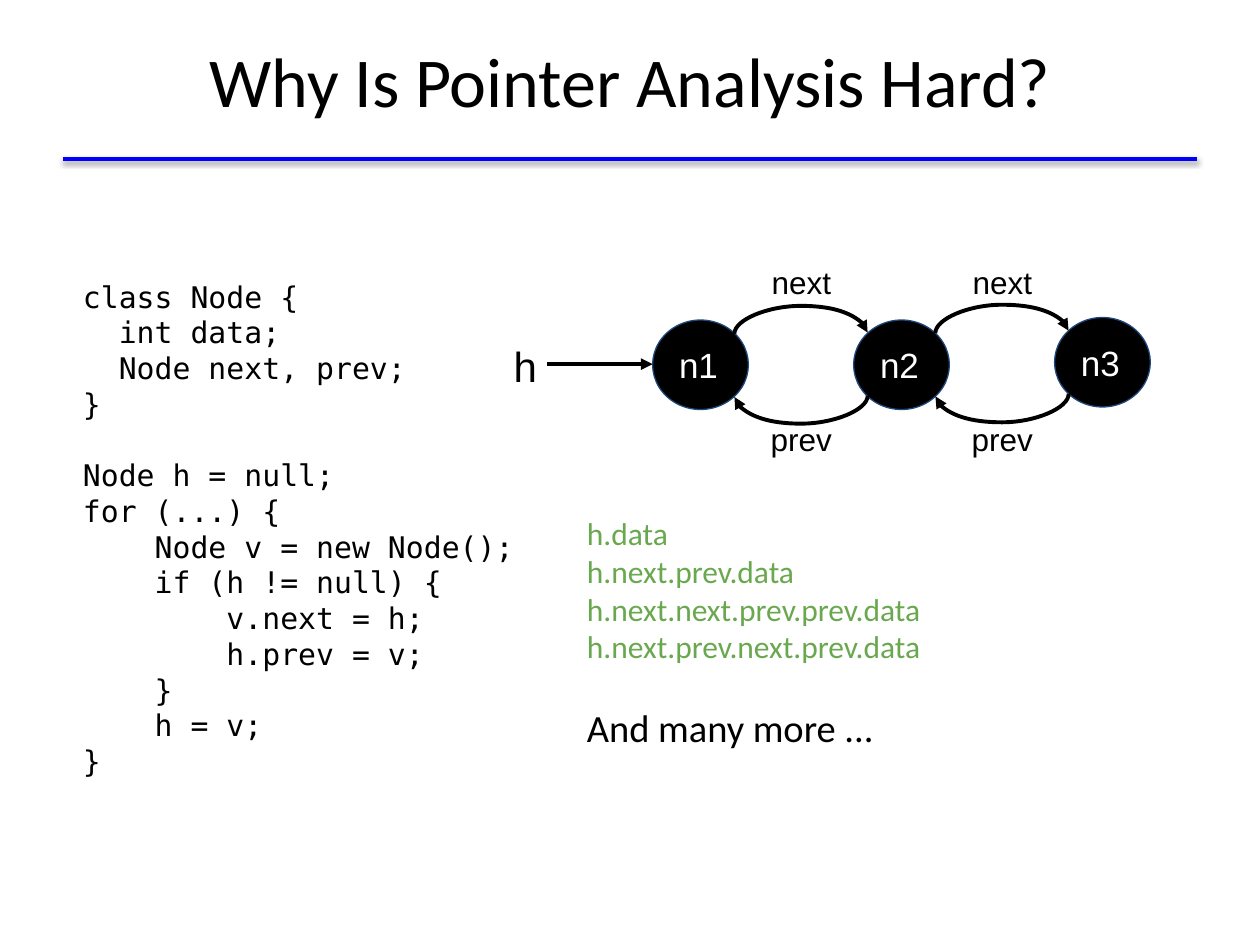
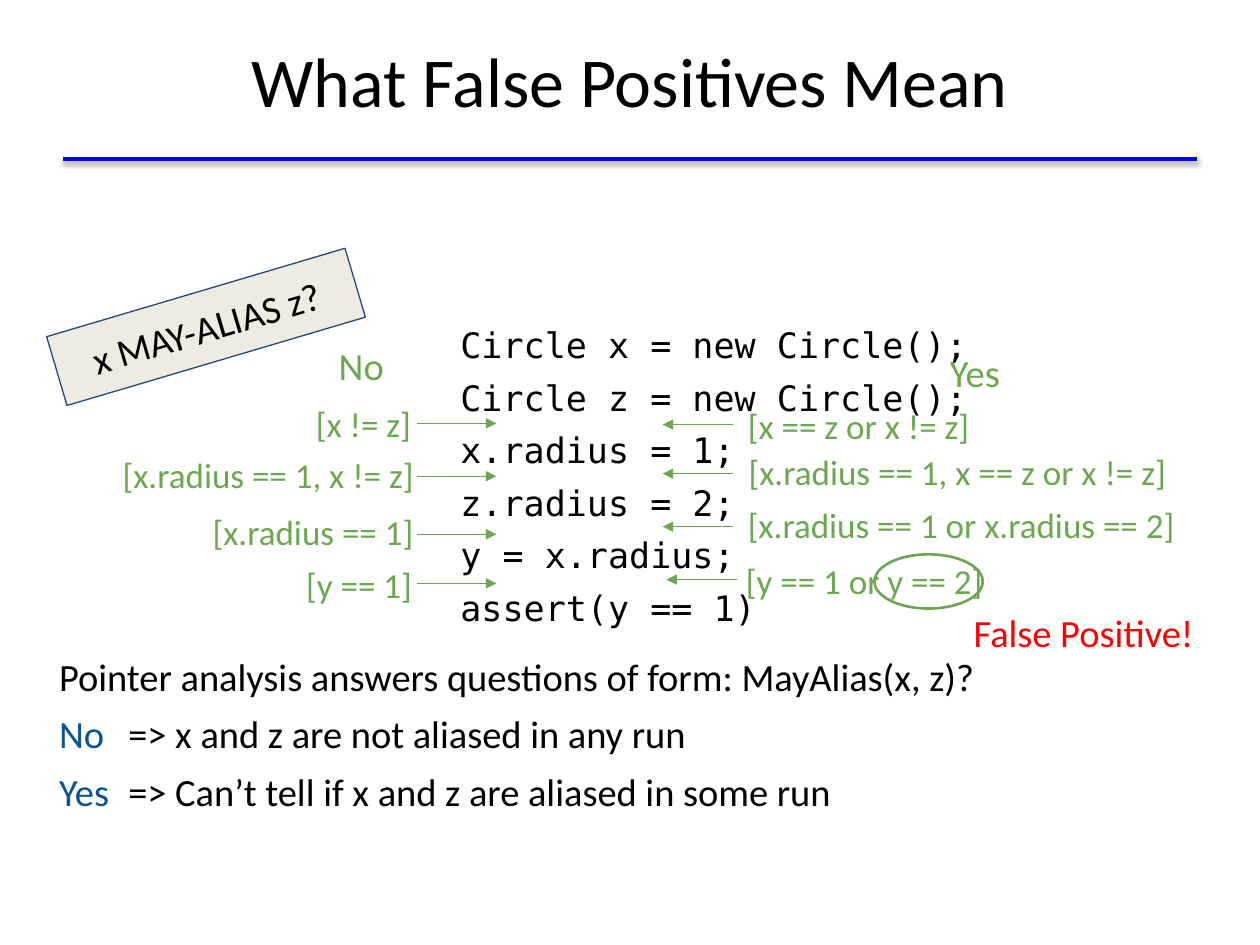
import dataclasses
import math
import typing

import lxml.etree
import pptx
import pptx.dml.color
import pptx.enum.shapes
import pptx.enum.text
import pptx.oxml.ns
import pptx.util

RGB = pptx.dml.color.RGBColor
BLACK = RGB(0x00, 0x00, 0x00)
WHITE = RGB(0xFF, 0xFF, 0xFF)
RULE_BLUE = RGB(0x00, 0x00, 0xFF)
OUTLINE_BLUE = RGB(0x1F, 0x49, 0x7D)
ANSWER_BLUE = RGB(0x0B, 0x53, 0x94)
GREEN = RGB(0x6A, 0xA8, 0x4F)
RED = RGB(0xFF, 0x00, 0x00)
CREAM = RGB(0xEE, 0xEC, 0xE1)

SANS, LABEL, MONO = "Calibri", "Arial", "DejaVu Sans Mono"
ALIGN = pptx.enum.text.PP_ALIGN
ANCHOR = pptx.enum.text.MSO_ANCHOR
SHAPE = pptx.enum.shapes.MSO_SHAPE
CONNECTOR = pptx.enum.shapes.MSO_CONNECTOR

# Grid of 100 columns by 75 rows
WIDTH, HEIGHT = pptx.util.Inches(10), pptx.util.Inches(7.5)
COLUMN, ROW = WIDTH / 100, HEIGHT / 75
INSET = pptx.util.Inches(0.1)


@dataclasses.dataclass(frozen=True)
class Box:
    """A place on the grid, in columns and rows."""
    left: float
    top: float
    width: float
    height: float

    def lengths(self) -> tuple[int, int, int, int]:
        return (round(self.left * COLUMN), round(self.top * ROW),
                round(self.width * COLUMN), round(self.height * ROW))

    def corner(self, right: bool, bottom: bool) -> tuple[float, float]:
        """Diagonal point of the ellipse that fills the box."""
        reach = math.sqrt(0.5) / 2
        return (self.left + self.width * (0.5 + (reach if right else -reach)),
                self.top + self.height * (0.5 + (reach if bottom else -reach)))


@dataclasses.dataclass(frozen=True)
class Fact:
    """What is known before a program line, with an arrow to that line."""
    text: str
    box: Box
    arrow_start: float
    arrow_end: float
    arrow_row: float


def add_xml(parent: typing.Any, tag: str, **attributes: typing.Any) -> typing.Any:
    return lxml.etree.SubElement(parent, pptx.oxml.ns.qn(tag),
                                 {key: str(value) for key, value in attributes.items()})


# Text
def write(frame: typing.Any, text: str, *, size: float, font: str = SANS,
          color: RGB = BLACK, align: ALIGN = ALIGN.LEFT, spacing: float = 1.0,
          before: float = 0, lead: str = "", tab: float = 0) -> None:
    """Add each line of text as a paragraph, after an optional coloured lead."""
    for number, line in enumerate(text.split("\n")):
        paragraph = frame.paragraphs[-1] if not frame.text else frame.add_paragraph()
        paragraph.alignment = align
        paragraph.line_spacing = spacing
        paragraph.space_before = pptx.util.Pt(0 if number else before)
        runs = [(line, color)]
        if lead:
            runs = [(lead + "\t", ANSWER_BLUE), (line, color)]
            tabs = add_xml(paragraph._p.get_or_add_pPr(), "a:tabLst")
            add_xml(tabs, "a:tab", pos=round(tab * COLUMN), algn="l")
        for words, run_color in runs:
            run = paragraph.add_run()
            run.text = words
            run.font.size = pptx.util.Pt(size)
            run.font.name = font
            run.font.color.rgb = run_color


def prepare_frame(shape: typing.Any, anchor: ANCHOR) -> typing.Any:
    frame = shape.text_frame
    frame.word_wrap = True
    frame.auto_size = pptx.enum.text.MSO_AUTO_SIZE.NONE
    frame.vertical_anchor = anchor
    frame.margin_left = frame.margin_right = INSET
    frame.margin_top = frame.margin_bottom = INSET
    return frame


def add_text(shapes: typing.Any, box: Box, text: str = "",
             anchor: ANCHOR = ANCHOR.MIDDLE, **text_format: typing.Any) -> typing.Any:
    frame = prepare_frame(shapes.add_textbox(*box.lengths()), anchor)
    if text:
        write(frame, text, **text_format)
    return frame


# Shapes and lines
def add_shape(shapes: typing.Any, kind: SHAPE, box: Box, line: RGB,
              line_width: float = 0.75, fill: RGB | None = None) -> typing.Any:
    shape = shapes.add_shape(kind, *box.lengths())
    shape.shadow.inherit = False
    if fill is None:
        shape.fill.background()
    else:
        shape.fill.solid()
        shape.fill.fore_color.rgb = fill
    shape.line.color.rgb = line
    shape.line.width = pptx.util.Pt(line_width)
    return shape


def add_line(shapes: typing.Any, start: tuple[float, float], end: tuple[float, float],
             color: RGB, width: float, kind: CONNECTOR = CONNECTOR.STRAIGHT,
             arrow: bool = True) -> typing.Any:
    connector = shapes.add_connector(
        kind, round(start[0] * COLUMN), round(start[1] * ROW),
        round(end[0] * COLUMN), round(end[1] * ROW))
    connector.line.color.rgb = color
    connector.line.width = pptx.util.Pt(width)
    if arrow:
        add_xml(connector.line._get_or_add_ln(), "a:tailEnd", type="triangle")
    add_xml(connector.element.spPr, "a:effectLst")
    return connector


def add_arc(shapes: typing.Any, nodes: list[typing.Any], boxes: list[Box],
            forward: bool) -> None:
    """Curve from one node to its neighbour: over the top, or back underneath."""
    sites = (7, 1) if forward else (3, 5)
    start = boxes[0].corner(right=forward, bottom=not forward)
    end = boxes[1].corner(right=not forward, bottom=not forward)
    bulge = 2.25
    drop = max(abs(end[1] - start[1]), 0.1)
    span = abs(end[0] - start[0])
    middle = (start[0] + end[0]) / 2, (start[1] + end[1]) / 2
    # The box is laid out upright, then turned a quarter
    arc = add_line(shapes, (middle[0] - drop / 2, middle[1] - span / 2),
                   (middle[0] + drop / 2, middle[1] + span / 2),
                   BLACK, 2.25, CONNECTOR.CURVE)
    properties = arc.element.spPr
    properties.find(pptx.oxml.ns.qn("a:xfrm")).set("rot", str((270 if forward else 90) * 60000))
    guides = properties.find(".//" + pptx.oxml.ns.qn("a:avLst"))
    add_xml(guides, "a:gd", name="adj1", fmla=f"val {round(bulge / drop * 100000)}")
    links = arc.element.nvCxnSpPr.cNvCxnSpPr
    for tag, node, site in zip(("a:stCxn", "a:endCxn"), nodes, sites):
        add_xml(links, tag, id=node.shape_id, idx=site)


def add_fact(shapes: typing.Any, fact: Fact) -> None:
    add_text(shapes, fact.box, fact.text, size=20, color=GREEN, align=ALIGN.CENTER)
    add_line(shapes, (fact.arrow_start, fact.arrow_row),
             (fact.arrow_end, fact.arrow_row), GREEN, 0.75)


# Shared slide frame: title and shadowed rule
def add_slide(presentation: typing.Any, title: str) -> typing.Any:
    slide = presentation.slides.add_slide(presentation.slide_layouts[5])
    rule = add_line(slide.shapes, (5, 12.6), (95, 12.6), RULE_BLUE, 2, arrow=False)
    effects = rule.element.spPr.find(pptx.oxml.ns.qn("a:effectLst"))
    shadow = add_xml(effects, "a:outerShdw", blurRad=pptx.util.Pt(3.1),
                     dist=pptx.util.Pt(1.6), dir=90 * 60000, rotWithShape=0)
    add_xml(add_xml(shadow, "a:srgbClr", val=BLACK), "a:alpha", val=38000)
    placeholder = slide.shapes.title
    (placeholder.left, placeholder.top,
     placeholder.width, placeholder.height) = Box(5, 0.1, 90, 12.5).lengths()
    write(prepare_frame(placeholder, ANCHOR.MIDDLE), title, size=40, align=ALIGN.CENTER)
    return slide


# Slide 1
NODE_CLASS = """class Node {
  int data;
  Node next, prev;
}"""
LIST_LOOP = """Node h = null;
for (...) {
    Node v = new Node();
    if (h != null) {
        v.next = h;
        h.prev = v;
    }
    h = v;
}"""
ACCESS_PATHS = """h.data
h.next.prev.data
h.next.next.prev.prev.data
h.next.prev.next.prev.data"""
NODE_BOXES = [Box(51.8 + 15.95 * index, top, 7.6, 7.1)
              for index, top in enumerate((25.4, 25.4, 25.2))]


def build_hard_slide(presentation: typing.Any) -> None:
    shapes = add_slide(presentation, "Why Is Pointer Analysis Hard?").shapes
    paths = add_text(shapes, Box(45.6, 39.8, 40.1, 26.1), ACCESS_PATHS,
                     ANCHOR.TOP, size=18, color=GREEN)
    write(paths, "And many more ...", size=22, before=22)
    code = add_text(shapes, Box(5.6, 21.1, 37.6, 43.2), NODE_CLASS,
                    ANCHOR.TOP, size=17, font=MONO)
    write(code, LIST_LOOP, size=17, font=MONO, before=20.4)

    # Doubly linked list
    nodes = []
    for number, box in enumerate(NODE_BOXES, start=1):
        node = add_shape(shapes, SHAPE.OVAL, box, OUTLINE_BLUE, fill=BLACK)
        write(prepare_frame(node, ANCHOR.MIDDLE), f"n{number}",
              size=20, font=LABEL, color=WHITE)
        nodes.append(node)
    for index in range(len(nodes) - 1):
        pair, boxes = nodes[index:index + 2], NODE_BOXES[index:index + 2]
        add_arc(shapes, pair, boxes, forward=True)
        add_arc(shapes, pair[::-1], boxes[::-1], forward=False)
        for label, top in (("next", 19.7), ("prev", 32.2)):
            add_text(shapes, Box(boxes[0].left + 8, top, 7.6, 5.3), label,
                     size=18, font=LABEL, align=ALIGN.CENTER)
    add_text(shapes, Box(37.5, 25.5, 8.4, 7.1), "h", size=24, font=LABEL, align=ALIGN.CENTER)
    add_line(shapes, (43.4, 28.9), (51.8, 28.9), BLACK, 2.25)


# Slide 2
CIRCLE_CODE = """Circle x = new Circle();
Circle z = new Circle();
x.radius = 1;
z.radius = 2;
y = x.radius;
assert(y == 1)"""
NO_FACTS = [
    Fact("[x != z]", Box(17, 31, 23.7, 5.3), 33.1, 39.4, 33.6),
    Fact("[x.radius == 1, x != z]", Box(7.6, 35, 27.4, 5.3), 33.1, 39.4, 37.8),
    Fact("[x.radius == 1]", Box(13, 39.5, 23.7, 5.3), 33.1, 39.4, 42.4),
    Fact("[y == 1]", Box(20.4, 43.7, 16.2, 5.3), 33.1, 39.4, 46.3),
]
YES_FACTS = [
    Fact("[x == z or x != z]", Box(55.2, 31.1, 25.9, 5.3), 58.2, 52.6, 33.7),
    Fact("[x.radius == 1, x == z or x != z]", Box(56.5, 34.8, 39, 5.3), 58.2, 52.6, 37.6),
    Fact("[x.radius == 1 or x.radius == 2]", Box(56.8, 39, 39, 5.3), 58.2, 52.6, 41.8),
    Fact("[y == 1 or y == 2]", Box(49.1, 43.4, 39, 5.3), 58.5, 52.9, 46),
]


def build_false_positive_slide(presentation: typing.Any) -> None:
    shapes = add_slide(presentation, "What False Positives Mean").shapes
    add_text(shapes, Box(35.55, 23.85, 46.95, 33.9), CIRCLE_CODE, ANCHOR.TOP,
             size=20, font=MONO, spacing=1.25)

    # Question and what each answer means
    question = add_shape(shapes, SHAPE.RECTANGLE, Box(4, 23.1, 24.7, 5.7),
                         OUTLINE_BLUE, fill=CREAM)
    question.rotation = 343.5
    write(prepare_frame(question, ANCHOR.MIDDLE), "x MAY-ALIAS z?",
          size=22, align=ALIGN.CENTER)
    meaning = add_text(shapes, Box(3.7, 51.5, 78.8, 12.5),
                       "Pointer analysis answers questions of form: MayAlias(x, z)?",
                       size=22, spacing=1.25)
    for answer, result in (("No", "=> x and z are not aliased in any run"),
                           ("Yes", "=> Can’t tell if x and z are aliased in some run")):
        write(meaning, result, size=22, spacing=1.25, lead=answer, tab=5.5)

    # Facts under each answer
    for answer, box in (("No", Box(25.9, 25.4, 6.7, 6.2)), ("Yes", Box(74.4, 26, 6.7, 6.2))):
        add_text(shapes, box, answer, size=22, color=GREEN, spacing=1.25)
    for fact in YES_FACTS:
        add_fact(shapes, fact)
    add_shape(shapes, SHAPE.OVAL, Box(69.4, 44, 8.6, 4.3), GREEN, line_width=1.5)
    add_text(shapes, Box(75.3, 47.5, 21.4, 5.3), "False Positive!",
             size=22, color=RED, align=ALIGN.CENTER)
    no_group = shapes.add_group_shape()
    for fact in NO_FACTS:
        add_fact(no_group.shapes, fact)


def main() -> None:
    presentation = pptx.Presentation()
    presentation.slide_width, presentation.slide_height = WIDTH, HEIGHT
    build_hard_slide(presentation)
    build_false_positive_slide(presentation)
    presentation.save("out.pptx")


if __name__ == "__main__":
    main()
